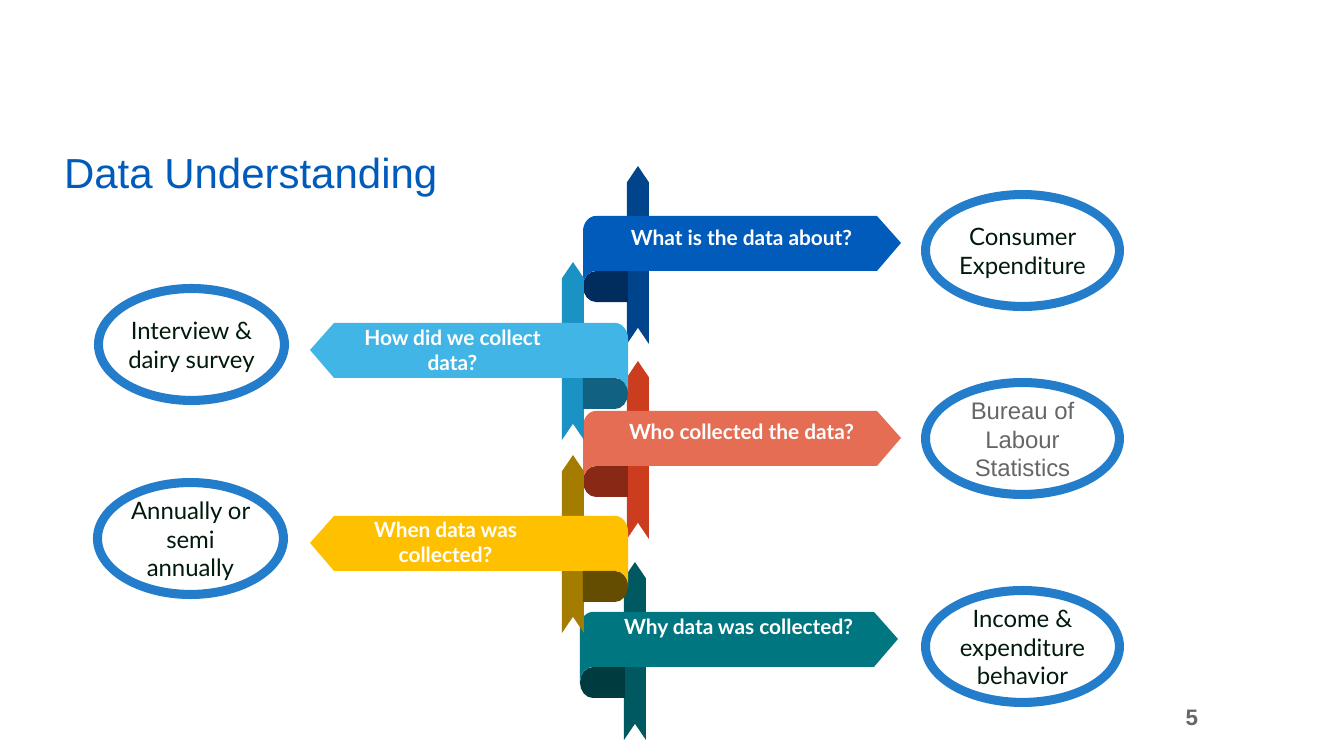
from math import cos, pi, sin

from pptx import Presentation
from pptx.dml.color import RGBColor
from pptx.enum.shapes import MSO_SHAPE
from pptx.enum.text import MSO_ANCHOR, PP_ALIGN
from pptx.util import Pt

SCALE = 914400 / 100.8  # EMU in one pixel

COLORS = {
    "white": "FFFFFF", "ink": "001A0C", "grey": "666666", "ring": "237DCB",
    "blue": "005BBB", "blue pole": "00448C", "blue fold": "002D5E",
    "sky": "41B6E6", "sky pole": "1A92C4", "sky fold": "116182",
    "coral": "E56D54", "coral pole": "CC3D1F", "coral fold": "882915",
    "gold": "FFC000", "gold pole": "A47D00", "gold fold": "644C00",
    "teal": "007681", "teal pole": "005861", "teal fold": "003B40",
}

# question, color, hinge x, top y, side (1 = right), label left, top, width
BANNERS = [
    ("What is the data about?", "blue", 583, 216, 1, 612, 220, 259),
    ("Who collected the data?", "coral", 583, 411, 1, 612, 414, 259),
    ("Why data was collected?", "teal", 580, 612, 1, 609, 609, 259),
    ("How did we collect data?", "sky", 628, 323, -1, 332, 320, 241),
    ("When data was collected?", "gold", 628, 516, -1, 320, 512, 251),
]

# answer, left, top, width, font, color
RINGS = [
    ("Consumer Expenditure", 921, 190, 203, "Lato", "ink"),
    ("Interview & dairy survey", 94, 284, 195, "Lato", "ink"),
    ("Bureau of Labour Statistics", 921, 378, 203, "Arial", "grey"),
    ("Income & expenditure behavior", 921, 586, 203, "Lato", "ink"),
    ("Annually or semi annually", 93, 478, 195, "Lato", "ink"),
]


def px(count):
    """Turn pixels into EMU."""
    return round(count * SCALE)


def rgb(name):
    """Look up a color by name."""
    return RGBColor.from_string(COLORS[name])


def paint(shape, color):
    """Give a shape a flat fill with no line or shadow."""
    shape.fill.solid()
    shape.fill.fore_color.rgb = rgb(color)
    shape.line.fill.background()
    shape.shadow.inherit = False


def write(shape, text, size, font, color, bold=False, align=PP_ALIGN.CENTER,
          anchor=MSO_ANCHOR.MIDDLE, inset=(10, 5)):
    """Put one styled paragraph into a shape and return it."""
    frame = shape.text_frame
    frame.text = text
    frame.word_wrap = True
    frame.vertical_anchor = anchor
    frame.margin_left = frame.margin_right = px(inset[0])
    frame.margin_top = frame.margin_bottom = px(inset[1])
    para = frame.paragraphs[0]
    para.alignment = align
    style = para.runs[0].font
    style.size, style.name, style.bold = Pt(size), font, bold
    style.color.rgb = rgb(color)
    return para


def add_text(shapes, box, *args, **kwargs):
    """Add a text box and return its paragraph."""
    return write(shapes.add_textbox(*map(px, box)), *args, **kwargs)


def add_pole(shapes, mid_x, mid_y, color):
    """Add an upright notched arrow around a center point."""
    wide, high = 178, 22
    box = mid_x - wide / 2, mid_y - high / 2, wide, high
    pole = shapes.add_shape(MSO_SHAPE.NOTCHED_RIGHT_ARROW, *map(px, box))
    pole.rotation = 270
    pole.adjustments[0], pole.adjustments[1] = 1, 0.741
    paint(pole, color)


def bend(mid_y, start, end, steps=8):
    """List points on a round corner at the hinge, angles in quarter turns."""
    turns = [(start + (end - start) * i / steps) * pi / 2
             for i in range(steps + 1)]
    return [(13 + 13 * cos(t), mid_y + 15.5 * sin(t)) for t in turns]


def add_outline(shapes, points, hinge, top, side, color):
    """Add a closed outline, turned to the given side of its hinge."""
    spots = [(px(hinge + side * x), px(top + y)) for x, y in points]
    form = shapes.build_freeform(*spots[0], scale=1.0)
    form.add_line_segments(spots[1:], close=True)
    paint(form.convert_to_shape(), color)


def add_banner(slide, text, color, hinge, top, side, left, label_top, width):
    """Add a pole with a ribbon folded round it and its question."""
    shapes = slide.shapes.add_group_shape().shapes
    add_pole(shapes, hinge + 55 * side, top + (39 if side > 0 else 28),
             color + " pole")
    band = (bend(15.5, 2, 3) + [(294, 0), (318, 27), (294, 55)]
            + bend(70.5, 3, 2))
    fold = [(45, 55), (45, 86)] + bend(70.5, 1, 3)
    parts = [(fold, color + " fold"), (band, color)]
    for points, shade in parts[::side]:
        add_outline(shapes, points, hinge, top, side, shade)
    add_text(shapes, (left, label_top, width, 54), text, 14.9, "Lato",
             "white", bold=True, anchor=MSO_ANCHOR.TOP, inset=(11, 5))


def add_ring(slide, text, left, top, width, font, color):
    """Add a ring with an answer inside."""
    box = left, top, width, 121
    ring = slide.shapes.add_shape(MSO_SHAPE.DONUT, *map(px, box))
    ring.adjustments[0] = 0.075
    paint(ring, "ring")
    write(ring, text, 17.1, font, color, inset=(5, 3))


def main():
    """Build the slide and save it."""
    deck = Presentation()
    deck.slide_width, deck.slide_height = px(1344), px(756)
    slide = deck.slides.add_slide(deck.slide_layouts[6])
    add_text(slide.shapes, (1131, 688, 80, 58), "5", 16, "Arial", "grey",
             bold=True, align=PP_ALIGN.RIGHT, inset=(13, 7))
    title = add_text(slide.shapes, (54, 107, 1159, 96), "Data Understanding",
                     30, "Arial", "blue", align=PP_ALIGN.LEFT,
                     anchor=MSO_ANCHOR.BOTTOM)
    title.line_spacing = 0.9
    for banner in BANNERS:
        add_banner(slide, *banner)
    for ring in RINGS:
        add_ring(slide, *ring)
    deck.save("out.pptx")


main()
